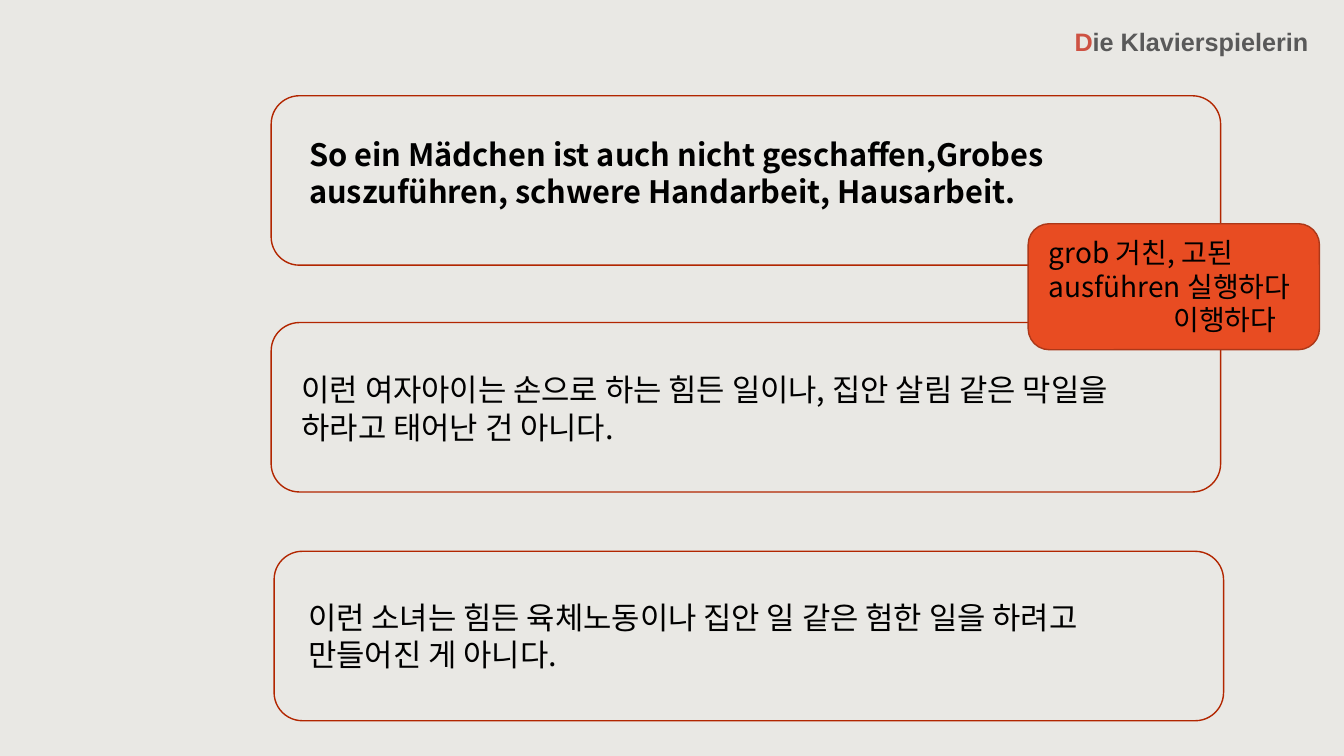
"""Build the slide on Die Klavierspielerin: a sentence, two translations and a glossary."""
from dataclasses import dataclass

from lxml import etree
from pptx import Presentation
from pptx.dml.color import RGBColor
from pptx.enum import shapes, text
from pptx.oxml import ns
from pptx.util import Pt

HUES = {"page": "E9E8E4", "red": "CE5243", "grey": "595959", "frame": "B22600",
        "note": "E84C22", "edge": "AC3819", "ink": "000000"}
SANS = "Noto Sans CJK KR"


@dataclass
class Box:
    x: float
    y: float
    w: float
    h: float
    line: str = "frame"
    fill: str = ""


@dataclass
class Words:
    x: float
    y: float
    w: float
    h: float
    lines: list[str]
    size: float = 22
    pitch: float = 26.5
    bold: bool = False
    indent: float = 0


BOXES = [
    Box(193.7, 68.4, 678.2, 121),
    Box(193.7, 230.4, 678.2, 121),
    Box(195.8, 393.8, 678.2, 121),
    Box(734.4, 159.8, 208.1, 90, "edge", "note"),
]
WORDS = [
    Words(213.8, 93, 644.4, 87, ["So ein Mädchen ist auch nicht geschaffen,Grobes "
          "auszuführen, schwere Handarbeit, Hausarbeit."], bold=True),
    Words(208.4, 261.5, 632.9, 60.5, ["이런 여자아이는 손으로 하는 힘든 일이나, "
          "집안 살림 같은 막일을 하라고 태어난 건 아니다."]),
    Words(213.1, 424, 632.9, 87, ["이런 소녀는 힘든 육체노동이나 집안 일 같은 "
          "험한 일을 하려고 만들어진 게 아니다."]),
    Words(742, 164.7, 200, 80, ["grob 거친, 고된", "ausführen 실행하다", "이행하다"],
          20, 24, indent=89),
]


def hue(name: str) -> RGBColor:
    """Return the named colour."""
    return RGBColor.from_string(HUES[name])


def draw_box(slide, box: Box) -> None:
    """Draw a rounded frame, filled if a fill is named."""
    shape = slide.shapes.add_shape(shapes.MSO_SHAPE.ROUNDED_RECTANGLE,
                                   Pt(box.x), Pt(box.y), Pt(box.w), Pt(box.h))
    shape.shadow.inherit = False
    shape.line.color.rgb = hue(box.line)
    shape.line.width = Pt(1)
    if box.fill:
        shape.fill.solid()
        shape.fill.fore_color.rgb = hue(box.fill)
    else:
        shape.fill.background()


def write(slide, item: Words) -> None:
    """Write paragraphs in a text box, indenting the third one."""
    frame = slide.shapes.add_textbox(Pt(item.x), Pt(item.y),
                                     Pt(item.w), Pt(item.h)).text_frame
    frame.word_wrap = True
    frame.text = "\n".join(item.lines)
    for rank, para in enumerate(frame.paragraphs):
        para.line_spacing = Pt(item.pitch)
        if rank == 2:
            para._p.get_or_add_pPr().set("marL", str(Pt(item.indent)))
        font = para.font
        font.name, font.size, font.bold = SANS, Pt(item.size), item.bold
        font.color.rgb = hue("ink")
        etree.SubElement(font._element, ns.qn("a:ea"), typeface=SANS)


def head(slide) -> None:
    """Place the title at the top right with a red initial."""
    title = slide.shapes.title
    title.left, title.top, title.width, title.height = Pt(760.3), Pt(15.1), Pt(217.4), Pt(28.8)
    frame = title.text_frame
    frame.word_wrap = True
    frame.auto_size = text.MSO_AUTO_SIZE.NONE
    frame.vertical_anchor = text.MSO_ANCHOR.TOP
    para = frame.paragraphs[0]
    para.alignment = text.PP_ALIGN.LEFT
    para.font.name, para.font.size, para.font.bold = "Arial", Pt(18), True
    for part, tone in (("D", "red"), ("ie Klavierspielerin", "grey")):
        run = para.add_run()
        run.text = part
        run.font.color.rgb = hue(tone)


def main() -> None:
    """Build and save the deck."""
    deck = Presentation()
    deck.slide_width, deck.slide_height = Pt(960), Pt(540)
    slide = deck.slides.add_slide(deck.slide_layouts[5])
    slide.background.fill.solid()
    slide.background.fill.fore_color.rgb = hue("page")
    head(slide)
    for box in BOXES:
        draw_box(slide, box)
    for item in WORDS:
        write(slide, item)
    deck.save("out.pptx")


if __name__ == "__main__":
    main()
